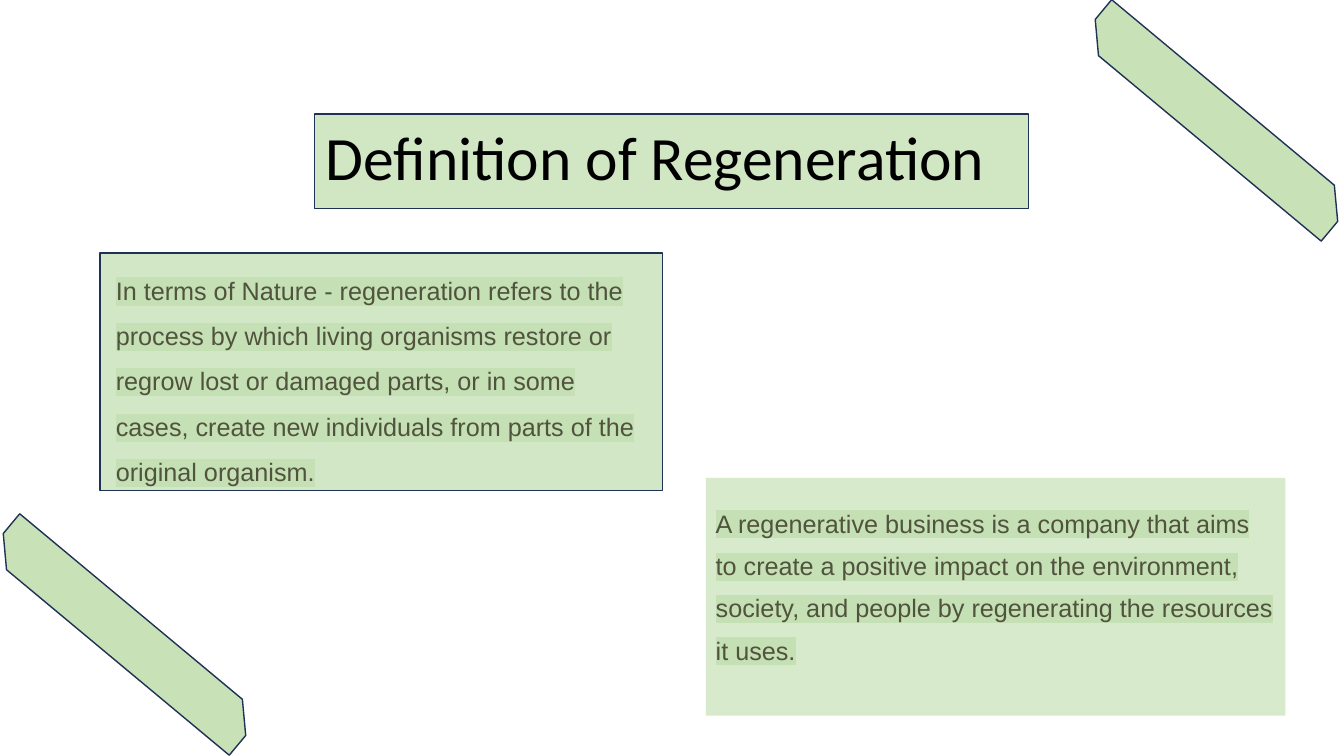
"""Build the slide that defines regeneration."""
from dataclasses import dataclass

import lxml.etree
import pptx
import pptx.dml.color
import pptx.enum.shapes
import pptx.enum.text
import pptx.oxml.ns
import pptx.util

HUES = {
    "pale": "C5E0B4",
    "leaf": "A9D18E",
    "navy": "1E3256",
    "olive": "50533D",
    "black": "000000",
}
KIND = pptx.enum.shapes.MSO_SHAPE
ANCHOR = pptx.enum.text.MSO_ANCHOR


@dataclass
class Panel:
    left: float
    top: float
    width: float
    height: float
    alpha: int
    hue: str = "pale"
    edge: bool = True
    kind: int = KIND.RECTANGLE
    turn: float = 0


@dataclass
class Label:
    left: float
    top: float
    width: float
    height: float
    words: str
    space: float
    size: int = 18
    font: str = "Arial"
    hue: str = "olive"
    mark: bool = True
    anchor: int = ANCHOR.TOP


PANELS = [
    Panel(7, 4.74, 5.75, 2.36, 67, edge=False),
    Panel(0.99, 2.51, 5.58, 2.36, 77),
    Panel(3.12, 1.13, 7.08, 0.94, 79),
]
BANDS = [
    Panel(left, top, 3.13, 0.51, 64, "leaf", kind=KIND.SNIP_2_DIAG_RECTANGLE, turn=39.8)
    for left, top in ((10.5, 0.94), (-0.33, 6.04))
]
LABELS = [
    Label(3.13, 0.68, 7.74, 1.82, "Definition of Regeneration", 0.9,
          44, "Calibri", "black", False, ANCHOR.MIDDLE),
    Label(7, 4.87, 5.75, 1.82,
          "A regenerative business is a company that aims to create a positive "
          "impact on the environment, society, and people by regenerating the "
          "resources it uses.", 1.4),
    Label(1.05, 2.53, 5.52, 2.33,
          "In terms of Nature - regeneration refers to the process by which "
          "living organisms restore or regrow lost or damaged parts, or in some "
          "cases, create new individuals from parts of the original organism.", 1.5),
]


def tint(name: str) -> pptx.dml.color.RGBColor:
    """Return a named colour."""
    return pptx.dml.color.RGBColor.from_string(HUES[name])


def place(item: Panel | Label) -> list[int]:
    """Return left, top, width and height as lengths."""
    return [pptx.util.Inches(n) for n in (item.left, item.top, item.width, item.height)]


def draw_panel(slide: pptx.slide.Slide, panel: Panel) -> None:
    """Draw a see-through shape."""
    shape = slide.shapes.add_shape(panel.kind, *place(panel))
    shape.shadow.inherit = False
    shape.rotation = panel.turn
    if panel.kind == KIND.SNIP_2_DIAG_RECTANGLE:
        shape.adjustments[0] = 0
        shape.adjustments[1] = 0.5
    shape.fill.solid()
    shape.fill.fore_color.rgb = tint(panel.hue)
    paint = shape._element.spPr.find(pptx.oxml.ns.qn("a:solidFill"))
    lxml.etree.SubElement(paint[0], pptx.oxml.ns.qn("a:alpha"), val=str(panel.alpha * 1000))
    if panel.edge:
        shape.line.color.rgb = tint("navy")
        shape.line.width = pptx.util.Pt(1)
    else:
        shape.line.fill.background()


def draw_label(slide: pptx.slide.Slide, label: Label) -> None:
    """Write one block of text, with a marker colour behind it if asked."""
    frame = slide.shapes.add_textbox(*place(label)).text_frame
    frame.word_wrap = True
    frame.vertical_anchor = label.anchor
    para = frame.paragraphs[0]
    para.line_spacing = label.space
    run = para.add_run()
    run.text = label.words
    run.font.size = pptx.util.Pt(label.size)
    run.font.name = label.font
    run.font.color.rgb = tint(label.hue)
    if label.mark:
        mark = lxml.etree.Element(pptx.oxml.ns.qn("a:highlight"))
        lxml.etree.SubElement(mark, pptx.oxml.ns.qn("a:srgbClr"), val=HUES["pale"])
        run._r.rPr.find(pptx.oxml.ns.qn("a:solidFill")).addnext(mark)


def main() -> None:
    """Build and save the deck."""
    deck = pptx.Presentation()
    deck.slide_width = pptx.util.Inches(13.33)
    deck.slide_height = pptx.util.Inches(7.5)
    slide = deck.slides.add_slide(deck.slide_layouts[6])
    for panel in PANELS:
        draw_panel(slide, panel)
    for label in LABELS:
        draw_label(slide, label)
    for band in BANDS:
        draw_panel(slide, band)
    deck.save("out.pptx")


if __name__ == "__main__":
    main()
